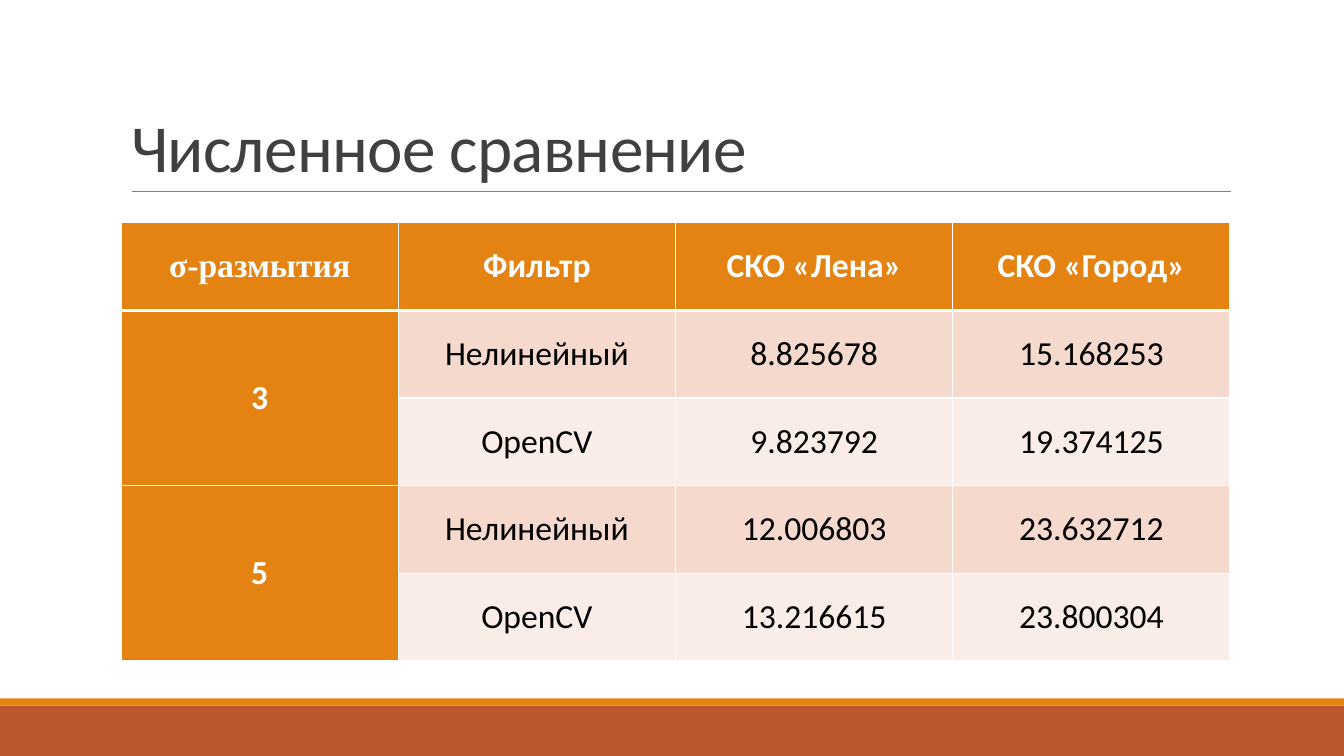
from dataclasses import dataclass

from lxml.etree import SubElement as Sub
from pptx import Presentation
from pptx.dml.color import RGBColor as Rgb
from pptx.enum.shapes import MSO_CONNECTOR as Link, MSO_SHAPE as Form
from pptx.enum.text import MSO_ANCHOR as Anchor, MSO_AUTO_SIZE as Fit, PP_ALIGN as Align
from pptx.oxml.ns import qn
from pptx.slide import Slide
from pptx.table import _Cell as Cell
from pptx.text.text import _Paragraph as Para
from pptx.util import Inches, Pt


@dataclass(frozen=True)
class Theme:
    rust: str = "BD582C"
    gold: str = "E48312"
    gray: str = "808080"
    dark: str = "404040"
    white: str = "FFFFFF"
    black: str = "000000"
    bands: tuple[str, str] = ("F5D9CC", "FAEDE7")
    sans: str = "Calibri"
    serif: str = "Times New Roman"
    head: int = 48
    body: int = 24


@dataclass(frozen=True)
class Bar:
    top: float
    height: float
    color: str


@dataclass(frozen=True)
class Look:
    fill: str
    color: str
    bold: bool
    font: str


THEME = Theme()
WIDTH = 13.33
LEFT, SPAN = 1.2, 11
TOP, ROW = 2.21, 0.87
BARS = [Bar(7, 0.5, THEME.rust), Bar(6.93, 0.07, THEME.gold)]
HEAD = ["σ-размытия", "Фильтр", "СКО «Лена»", "СКО «Город»"]
ROWS = [
    ["3", "Нелинейный", "8.825678", "15.168253"],
    ["", "OpenCV", "9.823792", "19.374125"],
    ["5", "Нелинейный", "12.006803", "23.632712"],
    ["", "OpenCV", "13.216615", "23.800304"],
]


def add_run(para: Para, text: str, size: int, color: str, font: str, bold: bool = False):
    run = para.add_run()
    run.text = text
    run.font.size = Pt(size)
    run.font.name = font
    run.font.bold = bold
    run.font.color.rgb = Rgb.from_string(color)
    return run


def draw_bar(slide: Slide, bar: Bar) -> None:
    shape = slide.shapes.add_shape(
        Form.RECTANGLE, 0, Inches(bar.top), Inches(WIDTH), Inches(bar.height))
    shape.shadow.inherit = False
    shape.fill.solid()
    shape.fill.fore_color.rgb = Rgb.from_string(bar.color)
    shape.line.fill.background()


def draw_rule(slide: Slide) -> None:
    rule = slide.shapes.add_connector(
        Link.STRAIGHT, Inches(1.31), Inches(1.9), Inches(12.21), Inches(1.9))
    rule.line.color.rgb = Rgb.from_string(THEME.gray)
    rule.line.width = Pt(0.5)
    Sub(rule._element.spPr, qn("a:effectLst"))


def draw_title(slide: Slide) -> None:
    title = slide.shapes.title
    title.left, title.top = Inches(LEFT), Inches(0.31)
    title.width, title.height = Inches(SPAN), Inches(1.59)
    frame = title.text_frame
    frame.word_wrap = True
    frame.auto_size = Fit.NONE
    frame.vertical_anchor = Anchor.BOTTOM
    para = frame.paragraphs[0]
    para.alignment = Align.LEFT
    para.line_spacing = 0.85
    run = add_run(para, "Численное сравнение", THEME.head, THEME.dark, THEME.sans)
    run.font._element.set("spc", "-50")


def add_edge(cell: Cell, side: str, width: float) -> None:
    edge = Sub(cell._tc.get_or_add_tcPr(), qn(f"a:ln{side}"), w=str(Pt(width)))
    fill = Sub(edge, qn("a:solidFill"))
    Sub(fill, qn("a:srgbClr"), val=THEME.white)


def pick_look(row: int, col: int) -> Look:
    if row == 0 or col == 0:
        font = THEME.serif if row == col else THEME.sans
        return Look(THEME.gold, THEME.white, True, font)
    return Look(THEME.bands[(row - 1) % 2], THEME.black, False, THEME.sans)


def draw_cell(cell: Cell, text: str, row: int, look: Look) -> None:
    thick = {"T": row == 1, "B": row == 0}
    for side in "LRTB":
        add_edge(cell, side, 3 if thick.get(side) else 1)
    cell.fill.solid()
    cell.fill.fore_color.rgb = Rgb.from_string(look.fill)
    cell.vertical_anchor = Anchor.MIDDLE
    cell.margin_left = cell.margin_right = Inches(0.07)
    cell.margin_top = cell.margin_bottom = 0
    if text:
        para = cell.text_frame.paragraphs[0]
        para.alignment = Align.CENTER
        add_run(para, text, THEME.body, look.color, look.font, look.bold)


def draw_table(slide: Slide) -> None:
    data = [HEAD, *ROWS]
    table = slide.shapes.add_table(
        len(data), len(HEAD), Inches(LEFT), Inches(TOP),
        Inches(SPAN), Inches(ROW * len(data))).table
    table.first_row = table.horz_banding = False
    for row, texts in enumerate(data):
        table.rows[row].height = Inches(ROW)
        for col, text in enumerate(texts):
            draw_cell(table.cell(row, col), text, row, pick_look(row, col))
    for row in range(1, len(data), 2):
        table.cell(row, 0).merge(table.cell(row + 1, 0))


def main() -> None:
    deck = Presentation()
    deck.slide_width, deck.slide_height = Inches(WIDTH), Inches(7.5)
    slide = deck.slides.add_slide(deck.slide_layouts[5])
    for bar in BARS:
        draw_bar(slide, bar)
    draw_rule(slide)
    draw_title(slide)
    draw_table(slide)
    deck.save("out.pptx")


if __name__ == "__main__":
    main()
